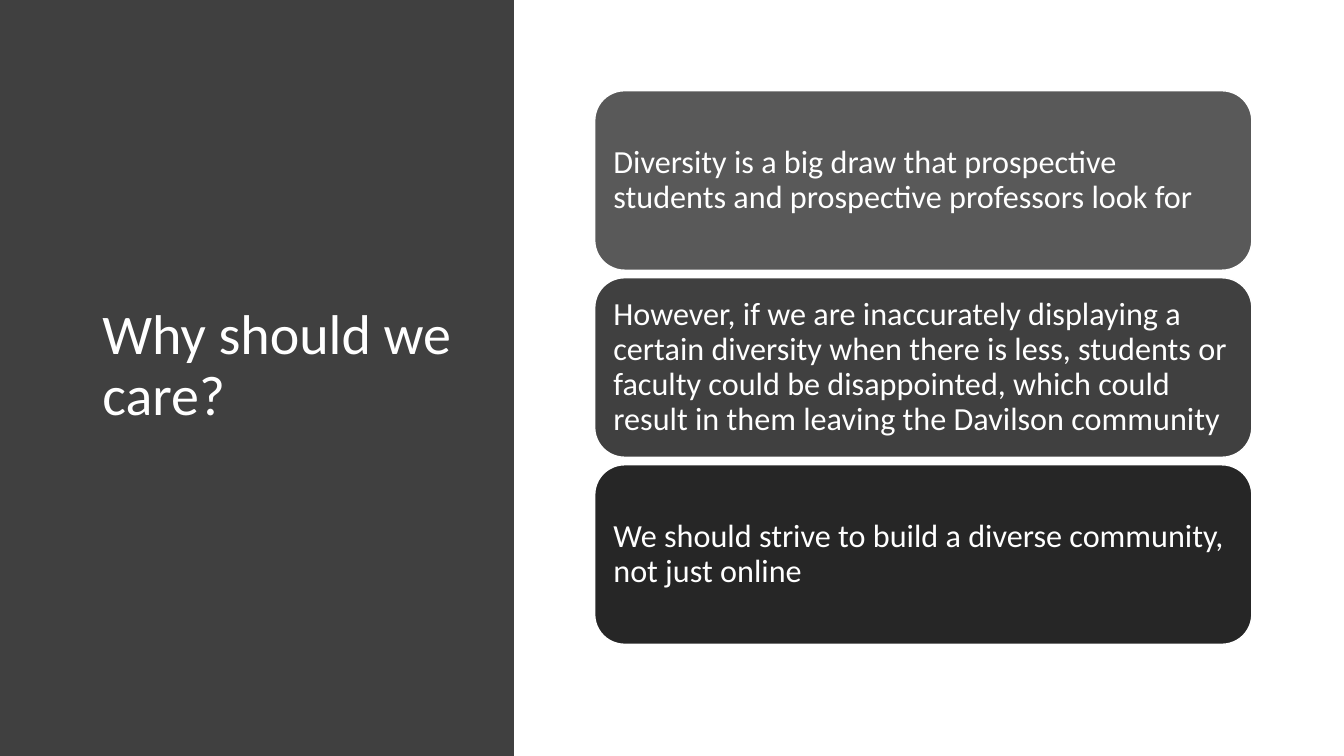
"""Build the "Why should we care?" slide: a dark title panel beside three stacked cards."""
from dataclasses import dataclass

from pptx import Presentation
from pptx.dml.color import RGBColor
from pptx.enum.shapes import MSO_SHAPE as Preset
from pptx.enum.text import MSO_ANCHOR as Anchor, MSO_AUTO_SIZE as AutoSize, PP_ALIGN as Align
from pptx.shapes.autoshape import Shape
from pptx.slide import Slide
from pptx.text.text import TextFrame
from pptx.util import Pt

SLIDE_WIDTH, SLIDE_HEIGHT = 960, 540
PANEL_WIDTH = 367.2
CARD_LEFT, CARD_TOP = 424.8, 64.8
CARD_WIDTH, CARD_HEIGHT, CARD_GAP = 469.4, 128.2, 5.4
WHITE, CHARCOAL = "FFFFFF", "404040"
TITLE_ONLY = 5


@dataclass(frozen=True)
class Reason:
    text: str
    fill: str


REASONS = [
    Reason("Diversity is a big draw that prospective students and prospective "
           "professors look for", "595959"),
    Reason("However, if we are inaccurately displaying a certain diversity when there "
           "is less, students or faculty could be disappointed, which could result in "
           "them leaving the Davilson community", CHARCOAL),
    Reason("We should strive to build a diverse community, not just online", "262626"),
]


def color(hex_code: str) -> RGBColor:
    return RGBColor.from_string(hex_code)


def write(frame: TextFrame, text: str, size: float) -> None:
    frame.word_wrap = True
    frame.auto_size = AutoSize.NONE
    frame.vertical_anchor = Anchor.MIDDLE
    paragraph = frame.paragraphs[0]
    paragraph.alignment = Align.LEFT
    paragraph.line_spacing = 0.9
    run = paragraph.add_run()
    run.text = text
    run.font.name = "Calibri"
    run.font.size = Pt(size)
    run.font.color.rgb = color(WHITE)


def add_block(slide: Slide, preset: Preset, left: float, top: float,
              width: float, height: float, fill: str) -> Shape:
    block = slide.shapes.add_shape(preset, Pt(left), Pt(top), Pt(width), Pt(height))
    block.shadow.inherit = False
    block.fill.solid()
    block.fill.fore_color.rgb = color(fill)
    block.line.fill.background()
    return block


def add_panel_with_title(slide: Slide) -> None:
    panel = add_block(slide, Preset.RECTANGLE, 0, 0, PANEL_WIDTH, SLIDE_HEIGHT, CHARCOAL)
    question = slide.shapes.title
    question.element.addprevious(panel.element)
    question.left, question.top = Pt(66), Pt(49)
    question.width, question.height = Pt(264), Pt(426)
    write(question.text_frame, "Why should we care?", 40)


def add_reason(slide: Slide, reason: Reason, row: int) -> None:
    top = CARD_TOP + row * (CARD_HEIGHT + CARD_GAP)
    card = add_block(slide, Preset.ROUNDED_RECTANGLE, CARD_LEFT, top,
                     CARD_WIDTH, CARD_HEIGHT, reason.fill)
    card.line.color.rgb = color(WHITE)
    card.line.width = Pt(1)
    frame = card.text_frame
    frame.margin_left = frame.margin_right = Pt(7.2)
    frame.margin_top = frame.margin_bottom = Pt(7.2)
    write(frame, reason.text, 23)


def main() -> None:
    deck = Presentation()
    deck.slide_width, deck.slide_height = Pt(SLIDE_WIDTH), Pt(SLIDE_HEIGHT)
    slide = deck.slides.add_slide(deck.slide_layouts[TITLE_ONLY])
    add_panel_with_title(slide)
    for row, reason in enumerate(REASONS):
        add_reason(slide, reason, row)
    deck.save("out.pptx")


if __name__ == "__main__":
    main()
